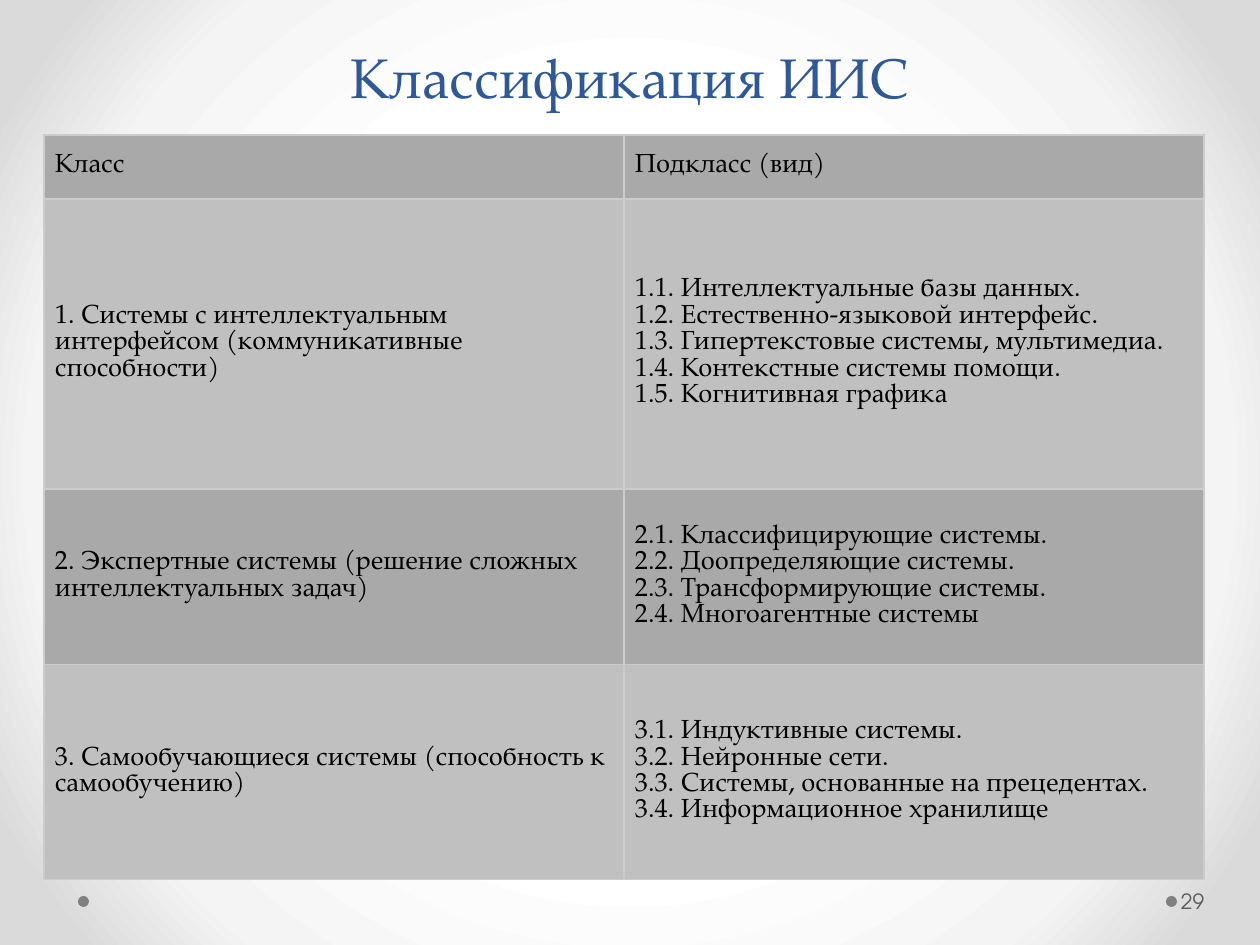
"""Build the slide with the classification table of intelligent information systems."""
from pptx import Presentation
from pptx import util as u
from pptx.dml.color import RGBColor
from pptx.enum import shapes, text
from pptx.oxml import ns, parse_xml

TITLE = "Классификация ИИС"
PAGE_NUMBER = "29"
ROWS = [
    (["Класс"], ["Подкласс (вид)"]),
    (["1. Системы с интеллектуальным интерфейсом (коммуникативные способности)"],
     ["1.1. Интеллектуальные базы данных.",
      "1.2. Естественно-языковой интерфейс.",
      "1.3. Гипертекстовые системы, мультимедиа.",
      "1.4. Контекстные системы помощи.",
      "1.5. Когнитивная графика"]),
    (["2. Экспертные системы (решение сложных интеллектуальных задач)"],
     ["2.1. Классифицирующие системы.",
      "2.2. Доопределяющие системы.",
      "2.3. Трансформирующие системы.",
      "2.4. Многоагентные системы"]),
    (["3. Самообучающиеся системы (способность к самообучению)"],
     ["3.1. Индуктивные системы.",
      "3.2. Нейронные сети.",
      "3.3. Системы, основанные на прецедентах.",
      "3.4. Информационное хранилище"]),
]
ROW_HEIGHTS = [64, 290, 176, 215]
COLUMN_WIDTH = 580
TABLE_LEFT, TABLE_TOP = 44, 135
CELL_MARGIN = 11
DOT_LEFTS, DOT_TOP, DOT_SIZE = [1166, 78], 896, 11
BACKGROUND_STOPS = [(50, "FFFFFF"), (76, "F4F4F4"), (92, "DADADA")]
COLORS = {"title": "2F5897", "body": "000000", "page": "595959", "dot": "808080",
          "dark": "A9A9A9", "light": "C0C0C0", "border": "CCCCCC"}
SERIF, SANS = "TeX Gyre Pagella", "TeX Gyre Adventor"
FORMATS = {
    "title": {"font": {"name": SERIF, "size": u.Pt(32), "bold": False},
              "paragraph": {"alignment": text.PP_ALIGN.CENTER, "line_spacing": u.Pt(58)}},
    "body": {"font": {"name": SERIF, "size": u.Pt(15), "bold": False},
             "paragraph": {"line_spacing": u.Pt(15.1)}},
    "page": {"font": {"name": SANS, "size": u.Pt(12)}, "paragraph": {}},
}


def px(value):
    return round(value * 914400 / 126)


def set_attributes(target, values):
    for name, value in values.items():
        setattr(target, name, value)


def write(frame, lines, style):
    frame.text = "\n".join(lines)
    for paragraph in frame.paragraphs:
        set_attributes(paragraph, FORMATS[style]["paragraph"])
        font = paragraph.runs[0].font
        set_attributes(font, FORMATS[style]["font"])
        font.color.rgb = RGBColor.from_string(COLORS[style])


def paint_background(slide):
    slide.background.fill.gradient()
    old = slide.element.find(".//" + ns.qn("a:gradFill"))
    stops = "".join(f'<a:gs pos="{position * 1000}"><a:srgbClr val="{color}"/></a:gs>'
                    for position, color in BACKGROUND_STOPS)
    old.getparent().replace(old, parse_xml(
        f'<a:gradFill {ns.nsdecls("a")} rotWithShape="1"><a:gsLst>{stops}</a:gsLst>'
        '<a:path path="circle"><a:fillToRect l="50000" t="50000" r="50000" b="50000"/>'
        '</a:path></a:gradFill>'))


def add_dot(slide, left):
    dot = slide.shapes.add_shape(shapes.MSO_SHAPE.OVAL, px(left), px(DOT_TOP),
                                 px(DOT_SIZE), px(DOT_SIZE))
    dot.shadow.inherit = False
    dot.fill.solid()
    dot.fill.fore_color.rgb = RGBColor.from_string(COLORS["dot"])
    dot.line.fill.background()


def add_title(slide):
    title = slide.shapes.title
    set_attributes(title, {"left": px(63), "top": 0, "width": px(1134), "height": px(116)})
    title.text_frame.vertical_anchor = text.MSO_ANCHOR.BOTTOM
    write(title.text_frame, [TITLE], "title")


def style_cell(cell, color):
    cell.vertical_anchor = text.MSO_ANCHOR.MIDDLE
    set_attributes(cell, {f"margin_{side}": px(CELL_MARGIN)
                          for side in ("left", "right", "top", "bottom")})
    cell.fill.solid()
    cell.fill.fore_color.rgb = RGBColor.from_string(color)
    properties = cell._tc.get_or_add_tcPr()
    for index, side in enumerate("LRTB"):
        properties.insert(index, parse_xml(
            f'<a:ln{side} {ns.nsdecls("a")} w="{u.Pt(0.75)}"><a:solidFill>'
            f'<a:srgbClr val="{COLORS["border"]}"/></a:solidFill></a:ln{side}>'))


def add_classes(slide):
    table = slide.shapes.add_table(len(ROWS), 2, px(TABLE_LEFT), px(TABLE_TOP),
                                   px(2 * COLUMN_WIDTH), px(sum(ROW_HEIGHTS))).table
    for column in table.columns:
        column.width = px(COLUMN_WIDTH)
    for index, (row, height, cells) in enumerate(zip(table.rows, ROW_HEIGHTS, ROWS)):
        row.height = px(height)
        for cell, lines in zip(row.cells, cells):
            write(cell.text_frame, lines, "body")
            style_cell(cell, COLORS["light" if index % 2 else "dark"])


def add_page_number(slide):
    frame = slide.shapes.add_textbox(px(1177), px(876), px(77), px(50)).text_frame
    set_attributes(frame, {"word_wrap": True, "margin_left": px(4),
                           "vertical_anchor": text.MSO_ANCHOR.MIDDLE})
    write(frame, [PAGE_NUMBER], "page")


def main():
    presentation = Presentation()
    set_attributes(presentation, {"slide_width": px(1260), "slide_height": px(945)})
    slide = presentation.slides.add_slide(presentation.slide_layouts[5])
    paint_background(slide)
    for left in DOT_LEFTS:
        add_dot(slide, left)
    add_title(slide)
    add_classes(slide)
    add_page_number(slide)
    presentation.save("out.pptx")


if __name__ == "__main__":
    main()
